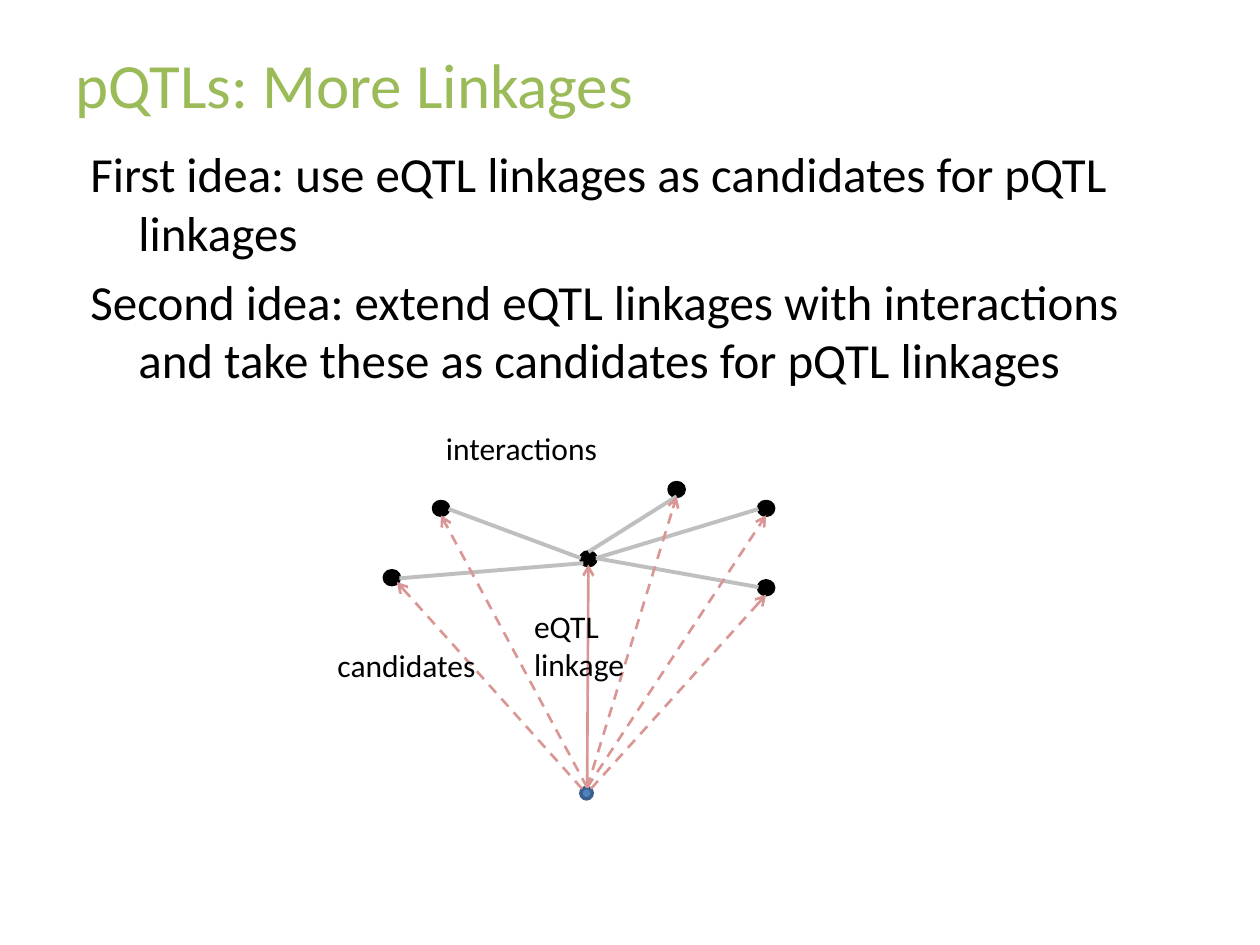
"""Build the slide on pQTL linkages with its network of candidate links."""
from dataclasses import dataclass

from lxml import etree
from pptx import Presentation
from pptx import util as u
from pptx.dml.color import RGBColor
from pptx.enum import dml, shapes, text
from pptx.oxml.ns import qn

GREEN = RGBColor(0x9B, 0xBB, 0x59)
BLACK = RGBColor(0, 0, 0)
BLUE = RGBColor(0x4F, 0x81, 0xBD)
NAVY = RGBColor(0x3A, 0x5F, 0x8C)
PINK = RGBColor(0xD9, 0x96, 0x94)
GREY = RGBColor(0xBF, 0xBF, 0xBF)
FONT = "Calibri"


@dataclass
class Dot:
    x: float
    y: float
    w: float = 0.12
    h: float = 0.11
    fill: RGBColor = BLACK
    line: RGBColor = BLACK


@dataclass
class Link:
    x1: float
    y1: float
    x2: float
    y2: float
    color: RGBColor = GREY
    width: float = 2.25
    arrow: bool = False
    dash: bool = False


@dataclass
class Label:
    words: str
    x: float
    y: float
    w: float
    h: float
    size: int = 18


def style(para, size: float, color: RGBColor) -> None:
    """Set font, size and colour on every run of a paragraph."""
    for run in para.runs:
        run.font.name = FONT
        run.font.size = u.Pt(size)
        run.font.color.rgb = color


def draw_dot(slide, dot: Dot) -> None:
    """Draw one node of the network."""
    oval = slide.shapes.add_shape(
        shapes.MSO_SHAPE.OVAL,
        u.Inches(dot.x), u.Inches(dot.y), u.Inches(dot.w), u.Inches(dot.h))
    oval.shadow.inherit = False
    oval.fill.solid()
    oval.fill.fore_color.rgb = dot.fill
    oval.line.color.rgb = dot.line
    oval.line.width = u.Pt(2)


def draw_link(slide, link: Link) -> None:
    """Draw one line or arrow between two nodes."""
    wire = slide.shapes.add_connector(
        shapes.MSO_CONNECTOR.STRAIGHT,
        u.Inches(link.x1), u.Inches(link.y1),
        u.Inches(link.x2), u.Inches(link.y2))
    wire.line.color.rgb = link.color
    wire.line.width = u.Pt(link.width)
    if link.dash:
        wire.line.dash_style = dml.MSO_LINE.DASH
    props = wire._element.spPr
    if link.arrow:
        etree.SubElement(props.find(qn("a:ln")), qn("a:tailEnd"), type="arrow")
    etree.SubElement(props, qn("a:effectLst"))


def draw_text(slide, label: Label):
    """Draw a wrapped text box and return its frame."""
    box = slide.shapes.add_textbox(
        u.Inches(label.x), u.Inches(label.y),
        u.Inches(label.w), u.Inches(label.h))
    frame = box.text_frame
    frame.word_wrap = True
    frame.text = label.words
    for para in frame.paragraphs:
        style(para, label.size, BLACK)
    return frame


def draw_title(slide, words: str) -> None:
    """Place and format the title."""
    title = slide.shapes.title
    title.left, title.top = u.Inches(0.5), u.Inches(0.3)
    title.width, title.height = u.Inches(9), u.Inches(0.72)
    frame = title.text_frame
    frame.text = words
    frame.vertical_anchor = text.MSO_ANCHOR.MIDDLE
    para = frame.paragraphs[0]
    para.alignment = text.PP_ALIGN.LEFT
    style(para, 36, GREEN)


def draw_body(slide, label: Label) -> None:
    """Draw the ideas with hanging indents."""
    for para in draw_text(slide, label).paragraphs:
        para.space_before = u.Pt(5.6)
        props = para._p.get_or_add_pPr()
        props.set("marL", str(u.Inches(0.38)))
        props.set("indent", str(-u.Inches(0.38)))


IDEAS = Label(
    "First idea: use eQTL linkages as candidates for pQTL linkages\n"
    "Second idea: extend eQTL linkages with interactions "
    "and take these as candidates for pQTL linkages",
    0.62, 1.09, 8.83, 5.86, 28)

DOTS = [
    Dot(4.61, 4.38),
    Dot(4.61, 6.25, 0.09, 0.09, BLUE, NAVY),
    Dot(6.02, 3.98),
    Dot(5.31, 3.83),
    Dot(6.02, 4.61),
    Dot(3.44, 3.98),
    Dot(3.05, 4.53),
]

EDGES = [
    Link(4.73, 4.43, 6.02, 4.04),
    Link(4.67, 4.38, 5.37, 3.94),
    Link(4.73, 4.43, 6.02, 4.66),
    Link(4.61, 4.43, 3.56, 4.04),
    Link(3.17, 4.59, 4.63, 4.47),
]

RAYS = [
    (4.66, 6.25, 6.08, 4.09),
    (4.69, 6.26, 6.08, 4.72),
    (4.66, 6.25, 5.37, 3.94),
    (4.66, 6.25, 3.5, 4.09),
    (4.62, 6.26, 3.15, 4.62),
]

LINKS = [
    Link(4.66, 6.25, 4.67, 4.48, PINK, 1.5, arrow=True),
    *EDGES,
    *(Link(*ray, PINK, 1.5, arrow=True, dash=True) for ray in RAYS),
]

LABELS = [
    Label("eQTL linkage", 4.14, 4.77, 1.02, 0.71),
    Label("interactions", 3.44, 3.36, 1.48, 0.4),
    Label("candidates", 2.58, 5.08, 1.41, 0.4),
]


def main() -> None:
    """Assemble and save the slide."""
    deck = Presentation()
    deck.slide_width, deck.slide_height = u.Inches(10), u.Inches(7.5)
    slide = deck.slides.add_slide(deck.slide_layouts[5])
    draw_title(slide, "pQTLs: More Linkages")
    draw_body(slide, IDEAS)
    for dot in DOTS:
        draw_dot(slide, dot)
    for link in LINKS:
        draw_link(slide, link)
    for label in LABELS:
        draw_text(slide, label)
    deck.save("out.pptx")


if __name__ == "__main__":
    main()
